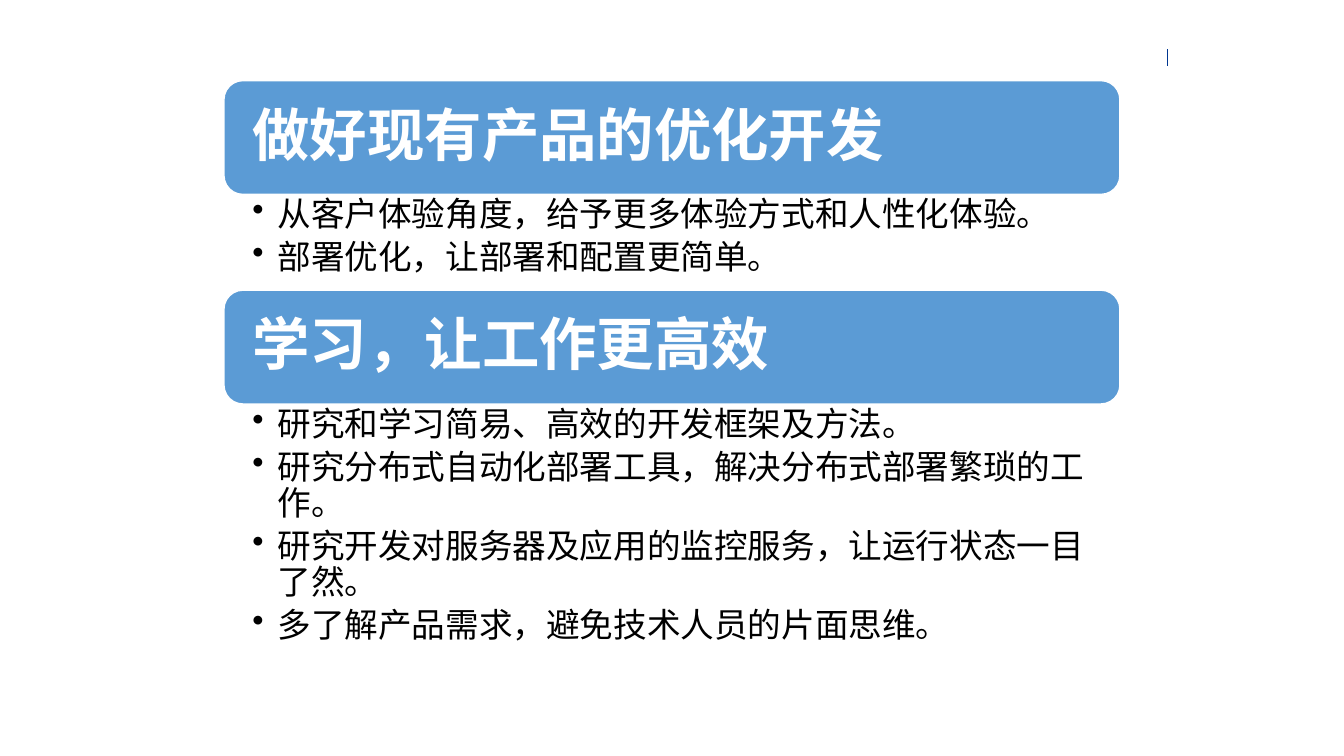
from dataclasses import dataclass

from lxml import etree
from pptx import Presentation
from pptx.dml.color import RGBColor
from pptx.enum import shapes, text
from pptx.oxml import ns
from pptx.util import Pt


@dataclass(frozen=True)
class Theme:
    font: str = "Calibri"
    banner: RGBColor = RGBColor(0x5B, 0x9B, 0xD5)
    light: RGBColor = RGBColor(0xFF, 0xFF, 0xFF)
    dark: RGBColor = RGBColor(0, 0, 0)
    rule: RGBColor = RGBColor(0x00, 0x36, 0x90)
    heading_size: float = 41
    point_size: float = 24


@dataclass(frozen=True)
class Section:
    heading: str
    points: tuple[str, ...]
    points_height: float


THEME = Theme()
LEFT, TOP, WIDTH, BANNER_HEIGHT = 160, 57.6, 640, 81.3
INDENT = 18

SECTIONS = (
    Section("做好现有产品的优化开发", (
        "从客户体验角度，给予更多体验方式和人性化体验。",
        "部署优化，让部署和配置更简单。",
    ), 68.4),
    Section("学习，让工作更高效", (
        "研究和学习简易、高效的开发框架及方法。",
        "研究分布式自动化部署工具，解决分布式部署繁琐的工作。",
        "研究开发对服务器及应用的监控服务，让运行状态一目了然。",
        "多了解产品需求，避免技术人员的片面思维。",
    ), 193.7),
)


def set_margins(frame, left: float, top: float, right: float, bottom: float) -> None:
    frame.word_wrap = True
    frame.margin_left, frame.margin_top = Pt(left), Pt(top)
    frame.margin_right, frame.margin_bottom = Pt(right), Pt(bottom)


def format_paragraph(paragraph, size: float, color: RGBColor, bold: bool) -> None:
    paragraph.alignment = text.PP_ALIGN.LEFT
    paragraph.line_spacing = 0.9
    for run in paragraph.runs:
        run.font.name = THEME.font
        run.font.size = Pt(size)
        run.font.bold = bold
        run.font.color.rgb = color


def add_bullet(paragraph) -> None:
    properties = paragraph._p.get_or_add_pPr()
    properties.set("marL", str(Pt(INDENT)))
    properties.set("indent", str(Pt(-INDENT)))
    etree.SubElement(properties, ns.qn("a:buChar")).set("char", "•")


def draw_banner(slide, heading: str, top: float) -> None:
    banner = slide.shapes.add_shape(shapes.MSO_SHAPE.ROUNDED_RECTANGLE,
                                    Pt(LEFT), Pt(top), Pt(WIDTH), Pt(BANNER_HEIGHT))
    banner.shadow.inherit = False
    banner.fill.solid()
    banner.fill.fore_color.rgb = THEME.banner
    banner.line.color.rgb = THEME.light
    banner.line.width = Pt(1)
    frame = banner.text_frame
    frame.text = heading
    frame.vertical_anchor = text.MSO_ANCHOR.MIDDLE
    set_margins(frame, 16.4, 16.4, 16.4, 16.4)
    format_paragraph(frame.paragraphs[0], THEME.heading_size, THEME.light, True)


def draw_points(slide, section: Section, top: float) -> None:
    points = slide.shapes.add_textbox(Pt(LEFT), Pt(top), Pt(WIDTH),
                                      Pt(section.points_height))
    frame = points.text_frame
    frame.text = "\n".join(section.points)
    set_margins(frame, 20.3, 2.2, 13.7, 2.2)
    for point in frame.paragraphs:
        point.level = 1
        point.space_after = Pt(4.8)
        format_paragraph(point, THEME.point_size, THEME.dark, False)
        add_bullet(point)


def draw_rule(slide) -> None:
    rule = slide.shapes.add_connector(shapes.MSO_CONNECTOR.STRAIGHT,
                                      Pt(833.8), Pt(35.3), Pt(833.8), Pt(47.5))
    rule.line.color.rgb = THEME.rule
    rule.line.width = Pt(0.5)
    etree.SubElement(rule._element.spPr, ns.qn("a:effectLst"))


def main() -> None:
    deck = Presentation()
    deck.slide_width, deck.slide_height = Pt(960), Pt(540)
    slide = deck.slides.add_slide(deck.slide_layouts.get_by_name("Blank"))

    # Short rule in the top right corner
    draw_rule(slide)

    # Banners and their points, stacked without gaps
    top = TOP
    for section in SECTIONS:
        draw_banner(slide, section.heading, top)
        top += BANNER_HEIGHT
        draw_points(slide, section, top)
        top += section.points_height

    deck.save("out.pptx")


if __name__ == "__main__":
    main()
